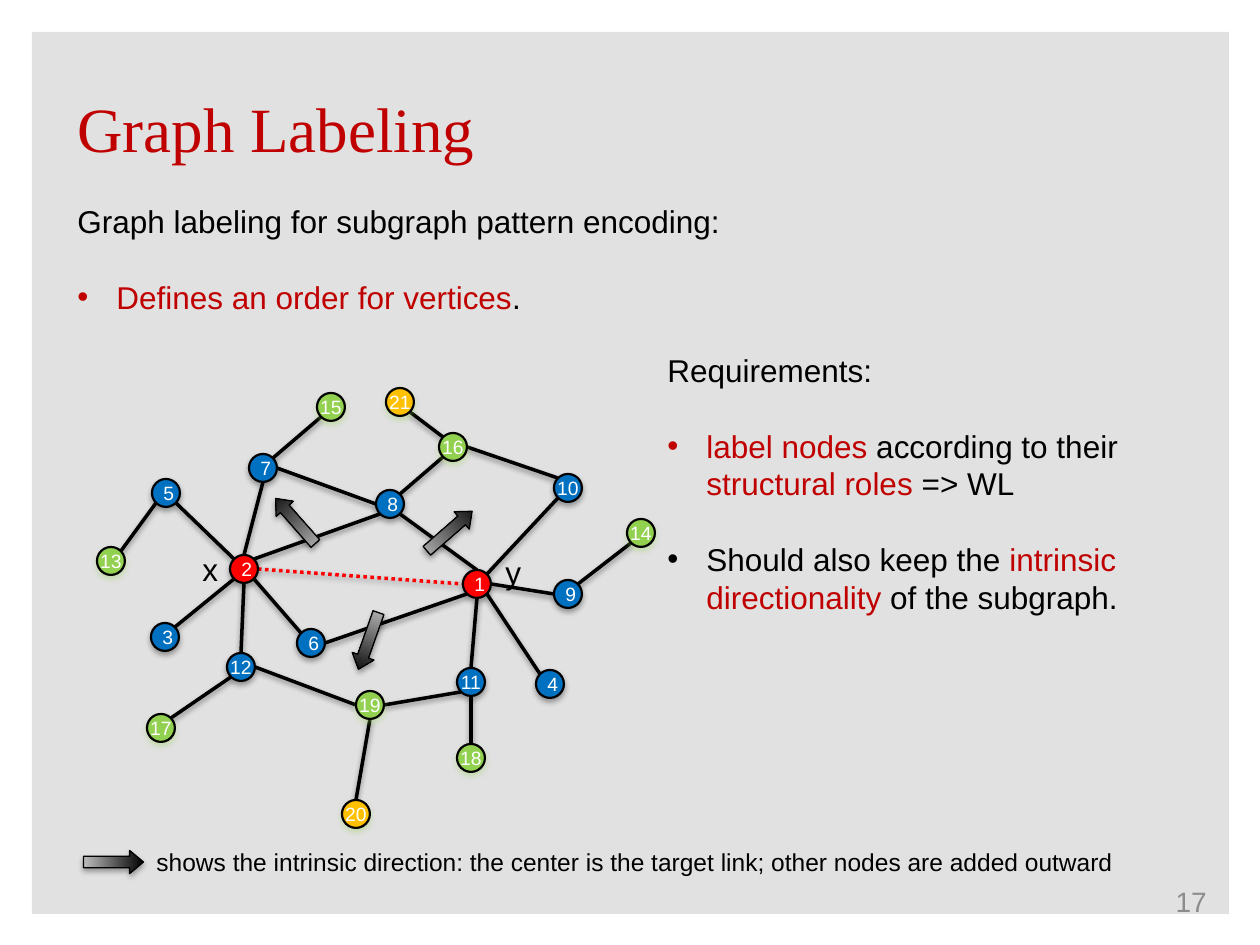
from lxml import etree
from pptx import Presentation
from pptx.dml.color import RGBColor
from pptx.enum.dml import MSO_LINE
from pptx.enum.shapes import MSO_CONNECTOR, MSO_SHAPE
from pptx.enum.text import MSO_ANCHOR, PP_ALIGN
from pptx.oxml.ns import qn
from pptx.util import Pt

RECT, OVAL, DOWN = MSO_SHAPE.RECTANGLE, MSO_SHAPE.OVAL, MSO_SHAPE.DOWN_ARROW
LINE, DOTS = MSO_CONNECTOR.STRAIGHT, MSO_LINE.ROUND_DOT
LEFT, MID, RIGHT = PP_ALIGN.LEFT, PP_ALIGN.CENTER, PP_ALIGN.RIGHT
TOP, CENTER = MSO_ANCHOR.TOP, MSO_ANCHOR.MIDDLE

BLACK, WHITE, GREY, MUTE = "000000", "FFFFFF", "E1E1E1", "8C8C8C"
DARK, RED, BLUE = "C00000", "FF0000", "0070C0"
GREEN, GOLD, PALE = "92D050", "FFC000", "BDBDBD"


def px(n):
    return round(n * 914400 / 126)


def rgb(code):
    return RGBColor.from_string(code)


class Deck:
    font = "Arial"
    size = 28    # node width
    hang = 39    # bullet indent
    gap = 21.5   # space before a bullet, in points

    def __init__(self, wide, high):
        self.prs = Presentation()
        self.prs.slide_width, self.prs.slide_height = px(wide), px(high)
        self.slide = self.prs.slides.add_slide(self.prs.slide_layouts[6])
        self.shapes = self.slide.shapes

    def shade(self, item, color, alpha, drop):
        props = item._element.spPr
        glow = etree.SubElement(props, qn("a:effectLst"))
        outer = etree.SubElement(glow, qn("a:outerShdw"), blurRad="40000",
                                 dist=str(drop), dir="5400000", rotWithShape="0")
        tint = etree.SubElement(outer, qn("a:srgbClr"), val=color)
        etree.SubElement(tint, qn("a:alpha"), val=str(alpha * 1000))

    def style(self, run, size, color, font=None):
        run.font.size = Pt(size)
        run.font.name = font or self.font
        run.font.color.rgb = rgb(color)

    def bullet(self, para, color):
        props = para._p.get_or_add_pPr()
        props.set("marL", str(px(self.hang)))
        props.set("indent", str(-px(self.hang)))
        tint = etree.SubElement(props, qn("a:buClr"))
        etree.SubElement(tint, qn("a:srgbClr"), val=color)
        etree.SubElement(props, qn("a:buFont"), typeface=self.font)
        etree.SubElement(props, qn("a:buChar"), char="•")
        para.space_before = Pt(self.gap)

    def text(self, box, words, size, color=BLACK, font=None, align=LEFT,
             anchor=TOP, wrap=True):
        frame = self.shapes.add_textbox(*map(px, box)).text_frame
        frame.word_wrap, frame.vertical_anchor = wrap, anchor
        para = frame.paragraphs[0]
        para.text, para.alignment = words, align
        self.style(para.runs[0], size, color, font)
        return frame

    def points(self, box, head, items, size=18):
        frame = self.text(box, head, size)
        for item in items:
            para = frame.add_paragraph()
            self.bullet(para, item[0][1])
            for words, color in item:
                run = para.add_run()
                run.text = words
                self.style(run, size, color)

    def panel(self, box, color):
        shape = self.shapes.add_shape(RECT, *map(px, box))
        shape.shadow.inherit = False
        shape.fill.solid()
        shape.fill.fore_color.rgb = rgb(color)
        shape.line.fill.background()

    def node(self, label, x, y, color):
        half = self.size / 2
        box = x - half, y - half, self.size, self.size
        shape = self.shapes.add_shape(OVAL, *map(px, box))
        shape.fill.solid()
        shape.fill.fore_color.rgb = rgb(color)
        shape.line.color.rgb = rgb(BLACK)
        shape.line.width = Pt(1.25)
        self.shade(shape, GREEN if color == GOLD else color
                   if color == GREEN else BLACK, 35, 23000)
        frame = shape.text_frame
        frame.text = str(label)
        frame.word_wrap, frame.vertical_anchor = label < 10, CENTER
        frame.paragraphs[0].alignment = MID
        self.style(frame.paragraphs[0].runs[0], 11, WHITE)

    def rim(self, spot, side):
        """Point on a node's rim in a compass direction."""
        reach = self.size / 2 * (0.71 if len(side) == 2 else 1)
        right = ("E" in side) - ("W" in side)
        down = ("S" in side) - ("N" in side)
        return px(spot[0] + right * reach), px(spot[1] + down * reach)

    def edge(self, start, out, end, into, color=BLACK, dash=None):
        line = self.shapes.add_connector(LINE, *self.rim(start, out),
                                         *self.rim(end, into))
        line.line.color.rgb = rgb(color)
        line.line.width = Pt(2)
        if dash:
            line.line.dash_style = dash
        self.shade(line, BLACK, 38, 20000)

    def arrow(self, x, y, turn):
        shape = self.shapes.add_shape(DOWN, px(x), px(y), px(23), px(60))
        shape.rotation = turn
        shape.adjustments[0], shape.adjustments[1] = 0.5, 0.6
        shape.fill.gradient()
        shape.fill.gradient_angle = 90
        for stop, color, place in zip(shape.fill.gradient_stops,
                                      (BLACK, PALE), (0, 1)):
            stop.color.rgb, stop.position = rgb(color), place
        shape.line.color.rgb = rgb(BLACK)
        shape.line.width = Pt(0.75)
        self.shade(shape, BLACK, 35, 23000)


NODES = {
    1: (477, 584, RED), 2: (244, 569, RED), 3: (165, 637, BLUE),
    4: (550, 684, BLUE), 5: (166, 493, BLUE), 6: (311, 643, BLUE),
    7: (263, 468, BLUE), 8: (390, 504, BLUE), 9: (568, 594, BLUE),
    10: (568, 488, BLUE), 11: (471, 682, BLUE), 12: (241, 667, BLUE),
    13: (111, 561, GREEN), 14: (641, 533, GREEN), 15: (331, 407, GREEN),
    16: (453, 447, GREEN), 17: (161, 728, GREEN), 18: (471, 758, GREEN),
    19: (370, 705, GREEN), 20: (356, 814, GOLD), 21: (400, 402, GOLD),
}
# Node, side it leaves, node, side it enters
EDGES = [
    (2, "NE", 8, "SW"), (3, "NE", 2, "SW"), (2, "SE", 6, "NW"),
    (12, "N", 2, "S"), (2, "N", 7, "S"), (5, "SE", 2, "NW"),
    (8, "SE", 1, "N"), (11, "N", 1, "S"), (1, "SE", 4, "NW"),
    (1, "NE", 10, "SW"), (6, "E", 1, "SW"), (1, "E", 9, "W"),
    (12, "E", 19, "W"), (19, "E", 11, "SW"), (7, "E", 8, "W"),
    (17, "NE", 12, "SW"), (8, "NE", 16, "SW"), (7, "NE", 15, "SW"),
    (18, "N", 11, "S"), (16, "E", 10, "NW"), (9, "NE", 14, "SW"),
    (13, "NE", 5, "SW"), (20, "N", 19, "S"), (16, "NW", 21, "SE"),
]
ARROWS = [(284, 491, 138.6), (438, 501, 228.9), (357, 611, 19.5),
          (102, 832, 270)]


def main():
    deck = Deck(1260, 945)

    # Panel, title and text
    deck.panel((32, 32, 1197, 882), GREY)
    deck.text((65, 60, 997, 135), "Graph Labeling", 36, DARK,
              "Times New Roman", anchor=CENTER)
    deck.points((65, 196, 936, 127),
                "Graph labeling for subgraph pattern encoding:",
                [[("Defines an order for vertices", DARK), (".", BLACK)]])
    deck.points((655, 345, 542, 280), "Requirements:", [
        [("label nodes ", DARK), ("according to their ", BLACK),
         ("structural roles ", DARK), ("=> WL", BLACK)],
        [("Should also keep the ", BLACK),
         ("intrinsic directionality ", DARK), ("of the subgraph.", BLACK)],
    ])

    # Graph
    for start, out, end, into in EDGES:
        deck.edge(NODES[start], out, NODES[end], into)
    deck.edge(NODES[2], "E", NODES[1], "W", RED, DOTS)
    for label, (x, y, color) in NODES.items():
        deck.node(label, x, y, color)
    deck.text((493, 547, 53, 50), "y", 18)
    deck.text((190, 544, 53, 50), "x", 18)

    # Direction arrows and their key
    for x, y, turn in ARROWS:
        deck.arrow(x, y, turn)
    deck.text((144, 841, 1026, 43),
              "shows the intrinsic direction: the center is the target link; "
              "other nodes are added outward", 14, wrap=False)

    # Slide number
    deck.text((936, 876, 283, 50), "17", 16, MUTE, align=RIGHT, anchor=CENTER)
    deck.prs.save("out.pptx")


if __name__ == "__main__":
    main()
